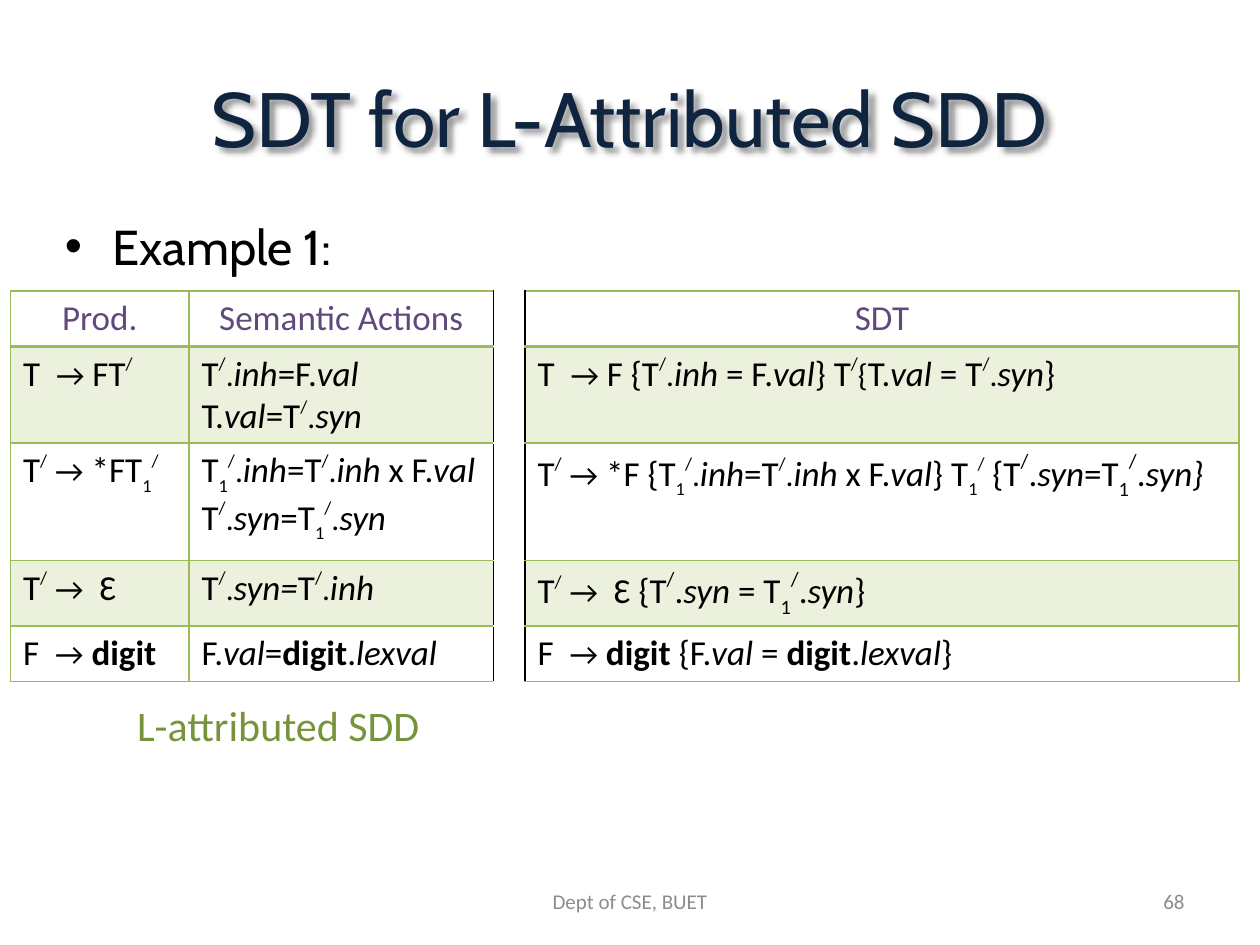
from itertools import groupby
from lxml import etree
from pptx import Presentation
from pptx.dml.color import RGBColor
from pptx.enum.text import MSO_ANCHOR as Anchor, PP_ALIGN as Align
from pptx.oxml import parse_xml
from pptx.oxml.ns import nsdecls, qn
from pptx.util import Inches, Pt

UNIT = Inches(1) / 12
rgb = RGBColor.from_string
GREEN, BLACK, PURPLE, GREY = "9BBB59", "000000", "604A7B", "8C8C8C"


def add_span(para, text, color, baseline=0, **look):
    span = para.add_run()
    span.text = text
    for name, value in look.items():
        setattr(span.font, name, value)
    span.font.color.rgb = rgb(color)
    if baseline:
        span.font._element.set("baseline", str(baseline))


def add_box(page, place, text, color, size, align, anchor=Anchor.TOP, face="Calibri"):
    box = page.shapes.add_textbox(*[int(UNIT * part) for part in place])
    frame = box.text_frame
    for name, value in {"word_wrap": True, "vertical_anchor": anchor}.items():
        setattr(frame, name, value)
    para = frame.paragraphs[0]
    para.alignment = align
    add_span(para, text, color, size=Pt(size), name=face)
    return box


deck = Presentation()
deck.slide_width, deck.slide_height = Inches(10), Inches(7.5)
page = deck.slides.add_slide(deck.slide_layouts[6])

title = add_box(page, (6, 3.6, 108, 15), "SDT for L-Attributed SDD", "0F243E", 44,
                Align.CENTER, Anchor.MIDDLE, "Cabin")
title._element.spPr.append(parse_xml(
    f'<a:effectLst {nsdecls("a")}><a:outerShdw blurRad="38100" dist="38100" dir="2700000">'
    '<a:srgbClr val="000000"><a:alpha val="43000"/></a:srgbClr></a:outerShdw></a:effectLst>'))

example = add_box(page, (5, 20, 108, 7), "Example 1:", BLACK, 28, Align.LEFT, face="Cabin")
layout = example.text_frame.paragraphs[0]._p.get_or_add_pPr()
for name, inches in {"marL": 0.38, "indent": -0.38}.items():
    layout.set(name, str(Inches(inches)))
etree.SubElement(layout, qn("a:buFont"), typeface="Arial")
etree.SubElement(layout, qn("a:buChar"), char="•")

add_box(page, (41, 83.4, 38, 4.8), "Dept of CSE, BUET", GREY, 12, Align.CENTER, Anchor.MIDDLE)
add_box(page, (86, 83.4, 28, 4.8), "68", GREY, 12, Align.RIGHT, Anchor.MIDDLE)
add_box(page, (7.5, 66, 38, 6), "L-attributed SDD", "77933C", 24, Align.CENTER)

# _ italic, ` bold, ~ full-size marks
columns = [17, 29, 3, 68]
heights = [5.3, 9.2, 11.2, 6.2, 5.3]
rules = [
    ["Prod.", "Semantic Actions", "", "SDT"],
    ["T  → FT/", "T/._inh_=F._val_\nT._val_=T/._syn_", "",
     "T  → F {T/._inh_ = F._val_} T/{T._val_ = T/._syn_}"],
    ["T/ → *FT₁/", "T₁/._inh_=T/._inh_ x F._val_\nT/._syn_=T₁/._syn_", "",
     "T/ → *F {T₁/._inh_=T/._inh_ x F._val_} T₁/ ~{T/._syn_=T₁/._syn}_"],
    ["T/ →  Ɛ", "T/._syn=_T/._inh_", "", "T/ →  Ɛ ~{T/._syn_ = T₁/._syn_}"],
    ["F  → `digit`", "F._val_=`digit`._lexval_", "", "F  → `digit `{F._val_ = `digit`._lexval_}"],
]
table = page.shapes.add_table(
    len(rules), len(columns), int(UNIT), int(UNIT * 27.7),
    int(UNIT * sum(columns)), int(UNIT * sum(heights))).table
for name in ("first_row", "horz_banding"):
    setattr(table, name, False)
for column, width in zip(table.columns, columns):
    column.width = int(UNIT * width)
for row, height in zip(table.rows, heights):
    row.height = int(UNIT * height)

for r, rule in enumerate(rules):
    for c, content in enumerate(rule):
        cell = table.cell(r, c)
        if r % 2 and c != 2:
            cell.fill.solid()
            cell.fill.fore_color.rgb = rgb(GREEN)
            shade = cell._tc.tcPr.find(".//" + qn("a:srgbClr"))
            etree.SubElement(shade, qn("a:alpha"), val="20000")
        else:
            cell.fill.background()

        edges = {"L": (BLACK if c in (2, 3) else GREEN, 1),
                 "R": (BLACK if c in (1, 2) else GREEN, 1)}
        if c != 2:
            edges["T"] = (GREEN, 2 if r == 1 else 1)
            edges["B"] = (GREEN, 2 if r == 0 else 1)
        for place, (side, (color, width)) in enumerate(edges.items()):
            cell._tc.tcPr.insert(place, parse_xml(
                f'<a:ln{side} {nsdecls("a")} w="{Pt(width)}"><a:solidFill>'
                f'<a:srgbClr val="{color}"/></a:solidFill></a:ln{side}>'))

        for number, line in enumerate(content.split("\n")):
            frame = cell.text_frame
            para = frame.add_paragraph() if number else frame.paragraphs[0]
            para.alignment = Align.LEFT if r else Align.CENTER
            state = {"_": False, "`": False, "~": False}
            marks, before = [], ""
            for mark in line:
                if mark in state:
                    state[mark] = not state[mark]
                    continue
                small = mark == "→" or not state["~"] and (
                    mark in "/₁" or before == "/" and mark in ".{")
                baseline = {"/": 50000, "₁": -30000}.get(mark, 0)
                marks.append(((18 if small else 20, baseline, state["_"], state["`"]),
                              mark.replace("₁", "1")))
                before = mark
            for (size, baseline, italic, bold), group in groupby(marks, lambda item: item[0]):
                add_span(para, "".join(mark for _, mark in group), BLACK if r else PURPLE,
                         baseline, size=Pt(size), italic=italic, bold=bold, name="Calibri")

deck.save("out.pptx")
